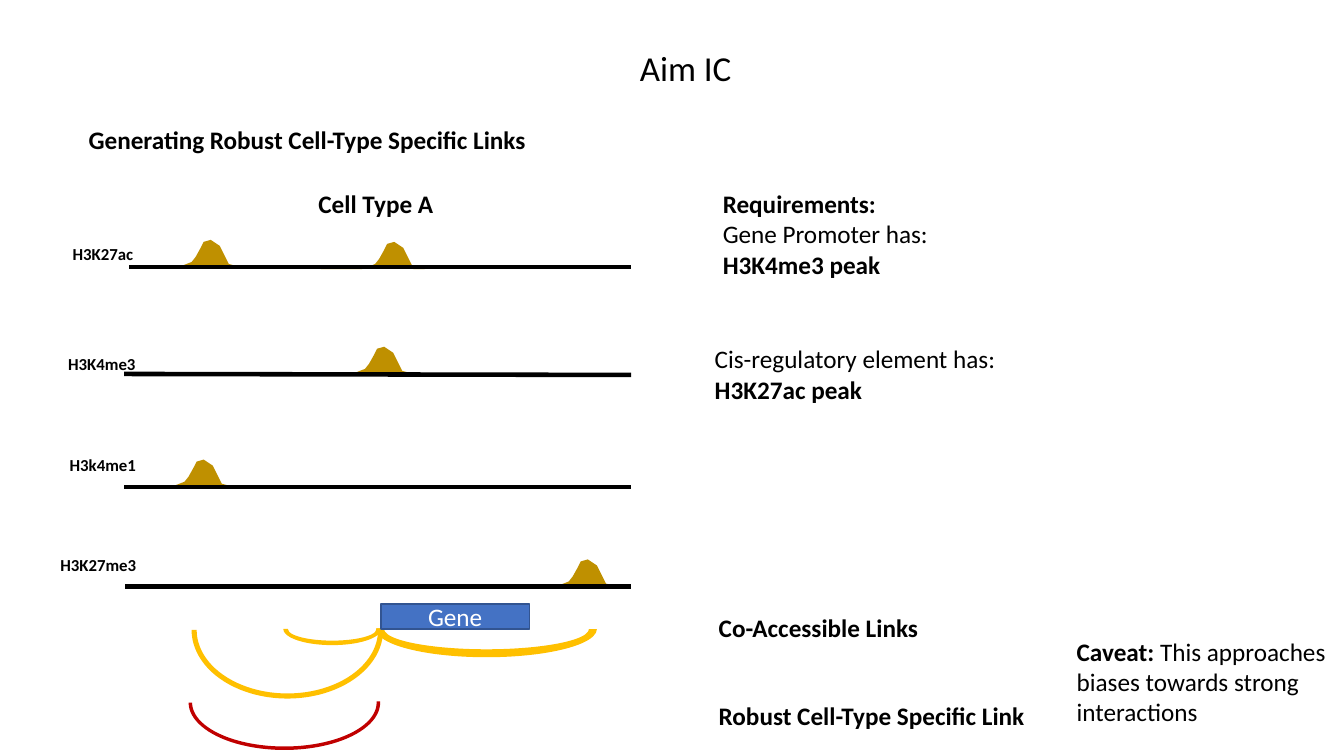
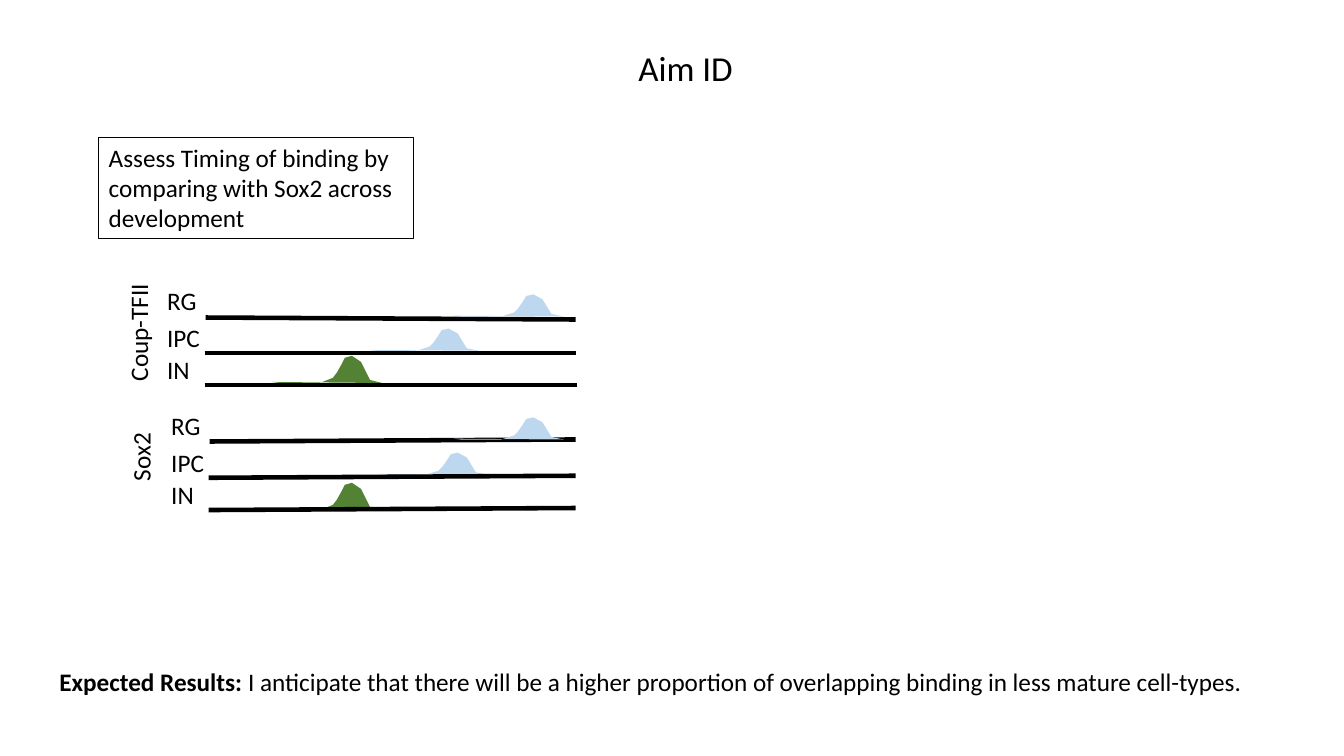
from lxml.etree import SubElement
from pptx import Presentation
from pptx.dml.color import RGBColor
from pptx.enum.shapes import MSO_CONNECTOR as CONN, MSO_SHAPE as SHAPE
from pptx.enum.text import MSO_ANCHOR as ANCHOR, PP_ALIGN as ALIGN
from pptx.oxml.ns import qn
from pptx.util import Inches, Pt

FONT = "Calibri"
BLACK, WHITE, BLUE, NAVY = "000000", "FFFFFF", "4472C4", "325491"
GOLD, AMBER, RED, SKY, GREEN = "BF9000", "FFC000", "C00000", "BDD7EE", "548235"
TITLE_BOX = (0.61, 0.41, 12.38, 0.52)
LABEL_H, TEXT_H = 0.3, 0.4
PEAK_H, LOW_PEAK_H = 0.27, 0.22
PEAK = [(0, 0.26), (0.07, 0.27), (0.47, 0.27), (0.6, 0.22), (0.64, 0.17), (0.69, 0.08),
        (0.72, 0.02), (0.79, 0), (0.88, 0.06), (0.93, 0.16), (0.97, 0.24), (1.09, 0.27)]

# label, label box, track line, peaks
MARKS = [
    ("H3K27ac", (0.43, 2.37, 1.18), (1.28, 2.65, 6.26, 2.65), [(1.3, 2.38), (3.12, 2.4)]),
    ("H3K4me3", (0.34, 3.46, 1.34), (1.23, 3.71, 6.26, 3.72), [(3.02, 3.44)]),
    ("H3k4me1", (0.4, 4.46, 1.24), (1.23, 4.83, 6.26, 4.83), [(1.23, 4.56)]),
    ("H3K27me3", (0.29, 5.45, 1.37), (1.24, 5.82, 6.26, 5.82), [(5.04, 5.55)]),
]
ARCS = [
    ((2.81, 6.08, 0.97, 0.32), (107.537, 0.038, 0.14), AMBER),
    ((3.73, 5.96, 2.19, 0.56), (108, 0.229, 0.141), AMBER),
    ((1.9, 5.57, 1.9, 1.36), (107.537, 0.034, 0.037), AMBER),
    ((1.87, 6.5, 1.9, 0.94), (107.537, 0.034, 0.037), RED),
]
GENE_BOX = (3.78, 5.99, 1.47, 0.25)
LINK_NOTES = [
    ((0.78, 1.18, 7.21, TEXT_H), [[("Generating Robust Cell-Type Specific Links", True)]]),
    ((3.06, 1.82, 1.46, TEXT_H), [[("Cell Type A", True)]]),
    ((7.07, 1.82, 5.92, 1.01), [[("Requirements:", True)], [("Gene Promoter has:", False)],
                                [("H3K4me3 peak", True)]]),
    ((6.99, 3.36, 3.85, 0.71), [[("Cis-regulatory element has:", False)],
                                [("H3K27ac peak", True)]]),
    ((7.03, 6.03, 2.5, TEXT_H), [[("Co-Accessible Links", True)]]),
    ((7.03, 6.9, 3.41, TEXT_H), [[("Robust Cell-Type Specific Link", True)]]),
    ((10.58, 6.26, 2.75, 1.01), [[("Caveat:", True),
                                  (" This approaches biases towards strong interactions", False)]]),
]

STAGES = [("RG", 0, 1.14), ("IPC", 0.37, 1.14), ("IN", 0.69, 0.51)]
FACTORS = [
    ("Coup-TFII", (0.77, 3.1, 1.2, 0.4), (1.56, 2.78),
     [(2.04, 3.15, 5.71, 3.17), (2.03, 3.5, 5.71, 3.5), (2.03, 3.82, 5.72, 3.82)]),
    ("Sox2", (0.81, 4.32, 1.2, 0.43), (1.6, 4.02),
     [(2.08, 4.38, 5.71, 4.36), (2.07, 4.74, 5.71, 4.72), (2.07, 5.06, 5.71, 5.04)]),
]
BACK_PEAKS = [(3.66, 3.26, LOW_PEAK_H, SKY), (2.7, 3.53, PEAK_H, GREEN),
              (2.7, 4.79, PEAK_H, GREEN), (3.75, 4.49, LOW_PEAK_H, SKY)]
FRONT_PEAKS = [(4.5, 2.92, LOW_PEAK_H, SKY), (4.5, 4.14, LOW_PEAK_H, SKY)]
ASSESS_BOX = (0.98, 1.36, 3.12, 1.01)
ASSESS = "Assess Timing of binding by comparing with Sox2 across development"
RESULT_BOX = (0.49, 6.56, 12.61, TEXT_H)
RESULT = [[("Expected Results: ", True),
           ("I anticipate that there will be a higher proportion of overlapping "
            "binding in less mature cell-types.", False)]]


def rgb(color):
    """Turn a hex string into a colour."""
    return RGBColor.from_string(color)


def inches(values):
    """Turn plain numbers into lengths."""
    return [Inches(v) for v in values]


def write(sp, paras, size=18, color=BLACK, align=ALIGN.LEFT, anchor=ANCHOR.TOP):
    """Fill a shape with paragraphs of (text, bold) runs."""
    tf = sp.text_frame
    tf.word_wrap = True
    tf.vertical_anchor = anchor
    for i, runs in enumerate(paras):
        p = tf.add_paragraph() if i else tf.paragraphs[0]
        p.alignment = align
        for text, bold in runs:
            r = p.add_run()
            r.text = text
            for name, value in {"name": FONT, "size": Pt(size), "bold": bold}.items():
                setattr(r.font, name, value)
            r.font.color.rgb = rgb(color)


def add_text(s, box, paras, rotation=0, **style):
    """Add a text box."""
    sp = s.shapes.add_textbox(*inches(box))
    sp.rotation = rotation
    write(sp, paras, **style)


def paint(sp, fill=None, line=None, width=1):
    """Set fill and outline and drop the shadow."""
    sp.shadow.inherit = False
    if fill:
        sp.fill.solid()
        sp.fill.fore_color.rgb = rgb(fill)
    else:
        sp.fill.background()
    if line:
        sp.line.color.rgb = rgb(line)
        sp.line.width = Pt(width)
    else:
        sp.line.fill.background()


def add_box(s, kind, box, fill=None, line=None, width=1):
    """Add a painted preset shape."""
    sp = s.shapes.add_shape(kind, *inches(box))
    paint(sp, fill, line, width)
    return sp


def add_peak(s, left, top, height=PEAK_H, color=GOLD):
    """Draw one signal peak, scaled to the given height."""
    scale = height / PEAK_H
    points = [inches((left + x, top + y * scale)) for x, y in PEAK]
    outline = s.shapes.build_freeform(*points[0])
    outline.add_line_segments(points[1:], close=True)
    paint(outline.convert_to_shape(), color)


def add_track(s, ends):
    """Draw the baseline of a signal track."""
    line = s.shapes.add_connector(CONN.STRAIGHT, *inches(ends))
    line.line.color.rgb = rgb(BLACK)
    line.line.width = Pt(3.25)
    SubElement(line._element.spPr, qn("a:effectLst"))


def add_slide(prs, title):
    """Add a blank slide with the shared title."""
    s = prs.slides.add_slide(prs.slide_layouts[6])
    add_text(s, TITLE_BOX, [[(title, False)]], size=25, align=ALIGN.CENTER)
    return s


def build_links(prs):
    """Build the slide on cell-type specific links."""
    s = add_slide(prs, "Aim IC")
    for label, box, ends, peaks in MARKS:
        for peak in peaks:
            add_peak(s, *peak)
        add_track(s, ends)
        add_text(s, (*box, LABEL_H), [[(label, True)]], size=12, align=ALIGN.CENTER)
    for box, adjustments, color in ARCS:
        arc = add_box(s, SHAPE.BLOCK_ARC, box, color)
        arc.rotation = 180
        for i, value in enumerate(adjustments):
            arc.adjustments[i] = value
    gene = add_box(s, SHAPE.RECTANGLE, GENE_BOX, BLUE, NAVY)
    write(gene, [[("Gene", False)]], color=WHITE, align=ALIGN.CENTER, anchor=ANCHOR.MIDDLE)
    for box, paras in LINK_NOTES:
        add_text(s, box, paras)


def build_timing(prs):
    """Build the slide on binding across development."""
    s = add_slide(prs, "Aim ID")
    for peak in BACK_PEAKS:
        add_peak(s, *peak)
    for factor, box, (left, top), tracks in FACTORS:
        add_text(s, box, [[(factor, False)]], rotation=270, align=ALIGN.CENTER)
        for (stage, drop, width), ends in zip(STAGES, tracks):
            add_track(s, ends)
            add_text(s, (left, top + drop, width, 0.39), [[(stage, False)]])
    for peak in FRONT_PEAKS:
        add_peak(s, *peak)
    write(add_box(s, SHAPE.RECTANGLE, ASSESS_BOX, line=BLACK, width=0.75), [[(ASSESS, False)]])
    add_text(s, RESULT_BOX, RESULT)


def main():
    """Build and save the presentation."""
    prs = Presentation()
    prs.slide_width, prs.slide_height = inches((13.33, 7.5))
    build_links(prs)
    build_timing(prs)
    prs.save("out.pptx")


if __name__ == "__main__":
    main()
